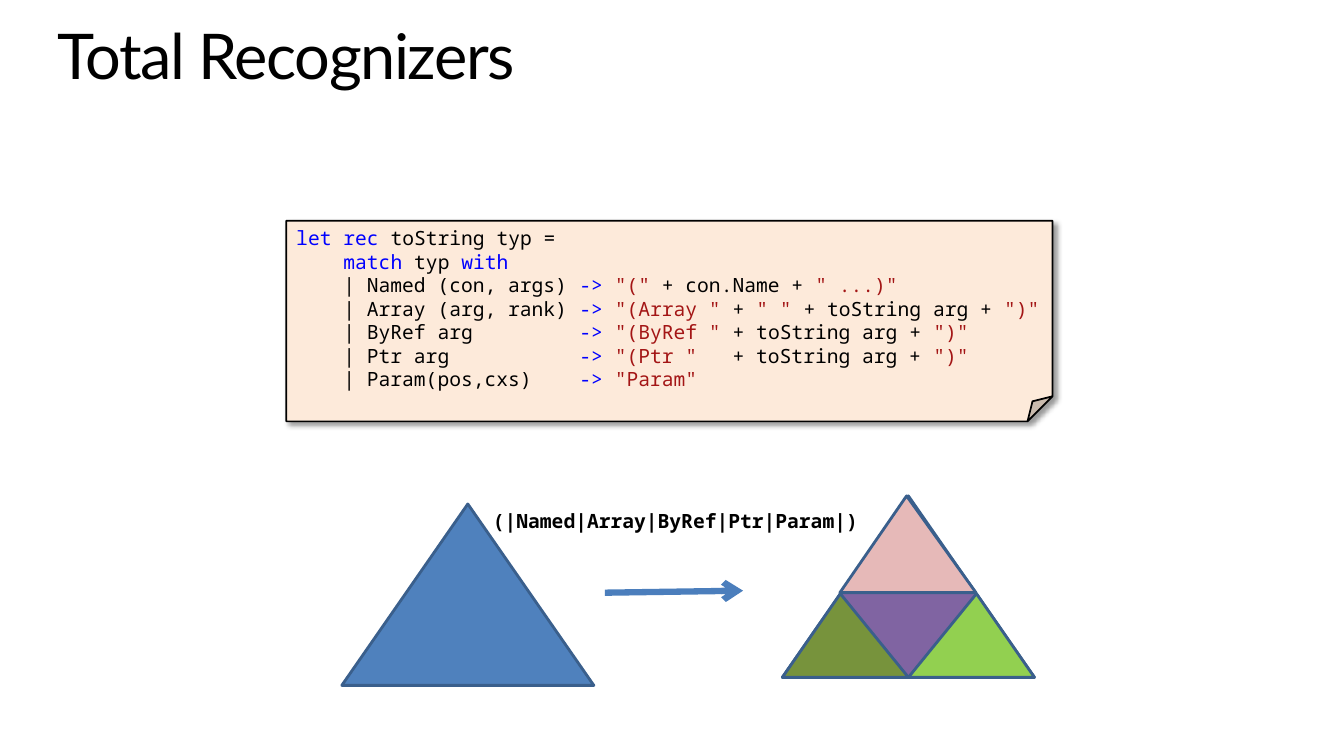
import itertools
from dataclasses import dataclass
from typing import Iterator

import lxml.etree
import pptx
import pptx.dml.color
import pptx.enum.shapes
import pptx.enum.text
import pptx.oxml.ns
import pptx.util

PX = 9144  # EMU in one px, at 100 px to the inch
MONO = "Noto Sans Mono"
BLACK, KEYWORD, STRING = "000000", "0000FF", "A31515"
EDGE = "3A5F8C"
KEYWORDS = {"let", "rec", "match", "with", "->"}
CODE = """let rec toString typ =
    match typ with
    | Named (con, args) -> "(" + con.Name + " ...)"
    | Array (arg, rank) -> "(Array " + " " + toString arg + ")"
    | ByRef arg         -> "(ByRef " + toString arg + ")"
    | Ptr arg           -> "(Ptr "   + toString arg + ")"
    | Param(pos,cxs)    -> "Param"
"""
SHAPES = pptx.enum.shapes.MSO_SHAPE
ANCHOR = pptx.enum.text.MSO_ANCHOR


@dataclass
class Triangle:
    left: int
    top: int
    width: int
    height: int
    fill: str
    apex: float = 0.5


WHOLE = Triangle(339, 500, 250, 180, "4F81BD")
PARTS = [
    Triangle(776, 492, 250, 180, "8064A2"),
    Triangle(833, 492, 135, 96, "E6B9B8", 0.49),
    Triangle(901, 589, 125, 83, "92D050", 0.54),
    Triangle(776, 589, 125, 83, "77933C", 0.46),
]


def px(*lengths: int) -> list[int]:
    return [length * PX for length in lengths]


def rgb(colour: str) -> pptx.dml.color.RGBColor:
    return pptx.dml.color.RGBColor.from_string(colour)


def add_xml(parent, tag: str, **attributes: str):
    return lxml.etree.SubElement(parent, pptx.oxml.ns.qn(tag), attributes)


def add_text(paragraph, text: str, *, font: str = MONO, size: int = 14,
             colour: str = BLACK, bold: bool = False, spacing: int = 0) -> None:
    """Add one run; spacing is in hundredths of a point."""
    run = paragraph.add_run()
    run.text = text
    run.font.name = font
    run.font.size = pptx.util.Pt(size)
    run.font.bold = bold
    run.font.color.rgb = rgb(colour)
    if spacing:
        run.font._element.set("spc", str(spacing))


def highlight(line: str) -> Iterator[tuple[str, str]]:
    """Split a line of code into pieces of text with their colours."""
    for index, part in enumerate(line.split('"')):
        if index % 2:
            yield f'"{part}"', STRING
        elif part:
            *words, last = part.split(" ")
            tokens = [word + " " for word in words] + [last]
            for is_keyword, group in itertools.groupby(
                    tokens, lambda token: token.strip() in KEYWORDS):
                piece = "".join(group)
                if piece:
                    yield piece, KEYWORD if is_keyword else BLACK


def add_figure(shapes, kind, box: list[int], fill: str, edge: str,
               width: float, adjustment: float):
    figure = shapes.add_shape(kind, *box)
    # Write the adjustment directly, as not every preset lists its own
    guides = figure._element.spPr.find(".//" + pptx.oxml.ns.qn("a:avLst"))
    guides.clear()
    add_xml(guides, "a:gd", name="adj", fmla=f"val {round(adjustment * 100000)}")
    figure.shadow.inherit = False
    figure.fill.solid()
    figure.fill.fore_color.rgb = rgb(fill)
    figure.line.color.rgb = rgb(edge)
    figure.line.width = pptx.util.Pt(width)
    return figure


def add_triangle(shapes, part: Triangle) -> None:
    box = px(part.left, part.top, part.width, part.height)
    add_figure(shapes, SHAPES.ISOSCELES_TRIANGLE, box, part.fill, EDGE, 2, part.apex)


def add_title(slide) -> None:
    title = slide.shapes.title
    title.left, title.top, title.width, title.height = px(57, 25, 1220, 68)
    frame = title.text_frame
    frame.margin_left = frame.margin_right = frame.margin_top = frame.margin_bottom = 0
    frame.vertical_anchor = ANCHOR.TOP
    heading = frame.paragraphs[0]
    heading.alignment = pptx.enum.text.PP_ALIGN.LEFT
    heading.line_spacing = 0.9
    add_text(heading, "Total Recognizers", font="Lato", size=45, spacing=-100)


def add_arrow(slide) -> None:
    arrow = slide.shapes.add_connector(
        pptx.enum.shapes.MSO_CONNECTOR.STRAIGHT, *px(600, 588, 737, 586))
    arrow.line.color.rgb = rgb("4B7EBC")
    arrow.line.width = pptx.util.Pt(4.5)
    add_xml(arrow.line._get_or_add_ln(), "a:tailEnd", type="arrow")
    add_xml(arrow._element.spPr, "a:effectLst")


def add_pattern_label(slide) -> None:
    label = slide.shapes.add_textbox(*px(479, 500, 402, 34))
    label.text_frame.word_wrap = False
    add_text(label.text_frame.paragraphs[0], "(|Named|Array|ByRef|Ptr|Param|)", bold=True)


def add_code_note(slide) -> None:
    note = add_figure(slide.shapes, SHAPES.FOLDED_CORNER, px(284, 219, 760, 199),
                      "FDEADA", BLACK, 1.25, 0.125)
    effects = note._element.spPr.find(pptx.oxml.ns.qn("a:effectLst"))
    shadow = add_xml(effects, "a:outerShdw", blurRad="50800", dist="38100",
                     dir="2700000", algn="tl", rotWithShape="0")
    add_xml(add_xml(shadow, "a:srgbClr", val=BLACK), "a:alpha", val="40000")

    frame = note.text_frame
    frame.word_wrap = False
    frame.vertical_anchor = ANCHOR.MIDDLE
    for index, line in enumerate(CODE.splitlines()):
        paragraph = frame.add_paragraph() if index else frame.paragraphs[0]
        paragraph.alignment = pptx.enum.text.PP_ALIGN.LEFT
        for piece, colour in highlight(line):
            add_text(paragraph, piece, colour=colour)


def main() -> None:
    deck = pptx.Presentation()
    deck.slide_width, deck.slide_height = px(1333, 750)
    slide = deck.slides.add_slide(deck.slide_layouts.get_by_name("Title Only"))

    add_title(slide)

    # The whole type, and the cases it splits into
    add_triangle(slide.shapes, WHOLE)
    cases = slide.shapes.add_group_shape()
    for part in PARTS:
        add_triangle(cases.shapes, part)
    add_arrow(slide)
    add_pattern_label(slide)

    # The function that matches on every case
    add_code_note(slide)
    deck.save("out.pptx")


if __name__ == "__main__":
    main()
